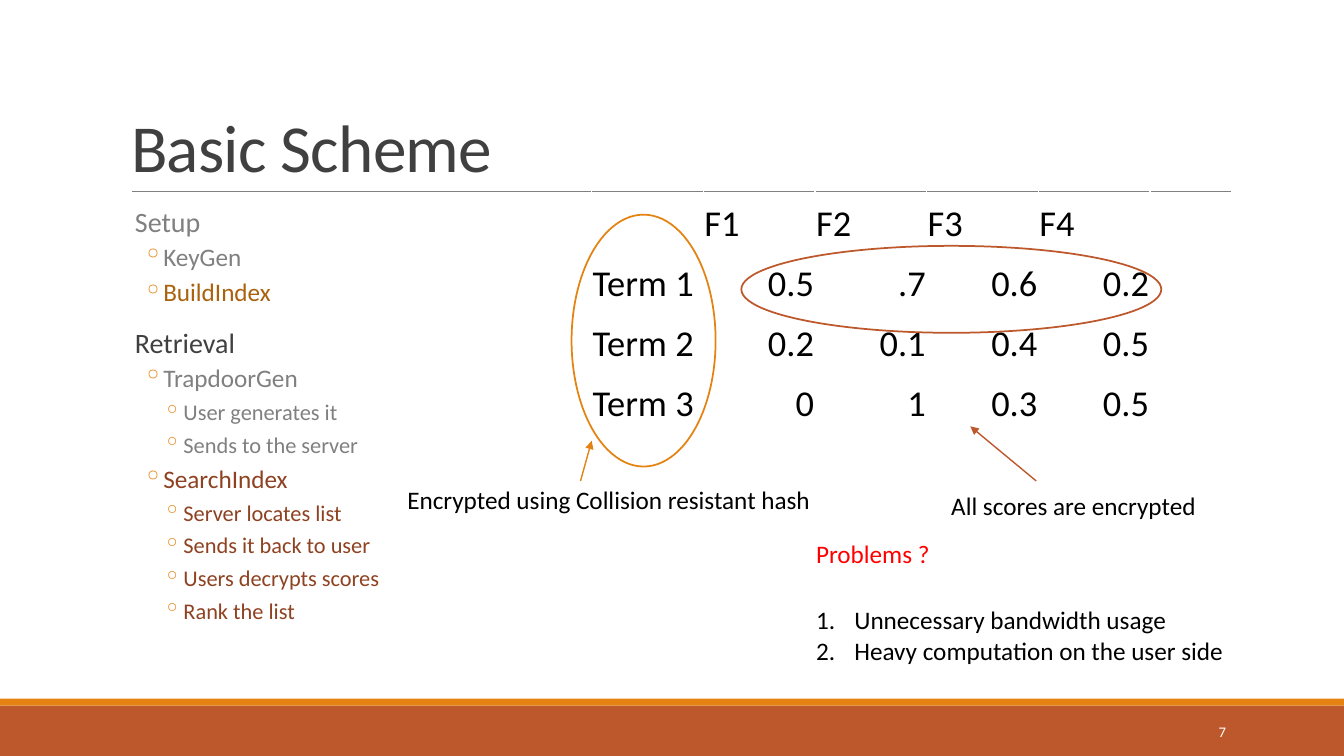
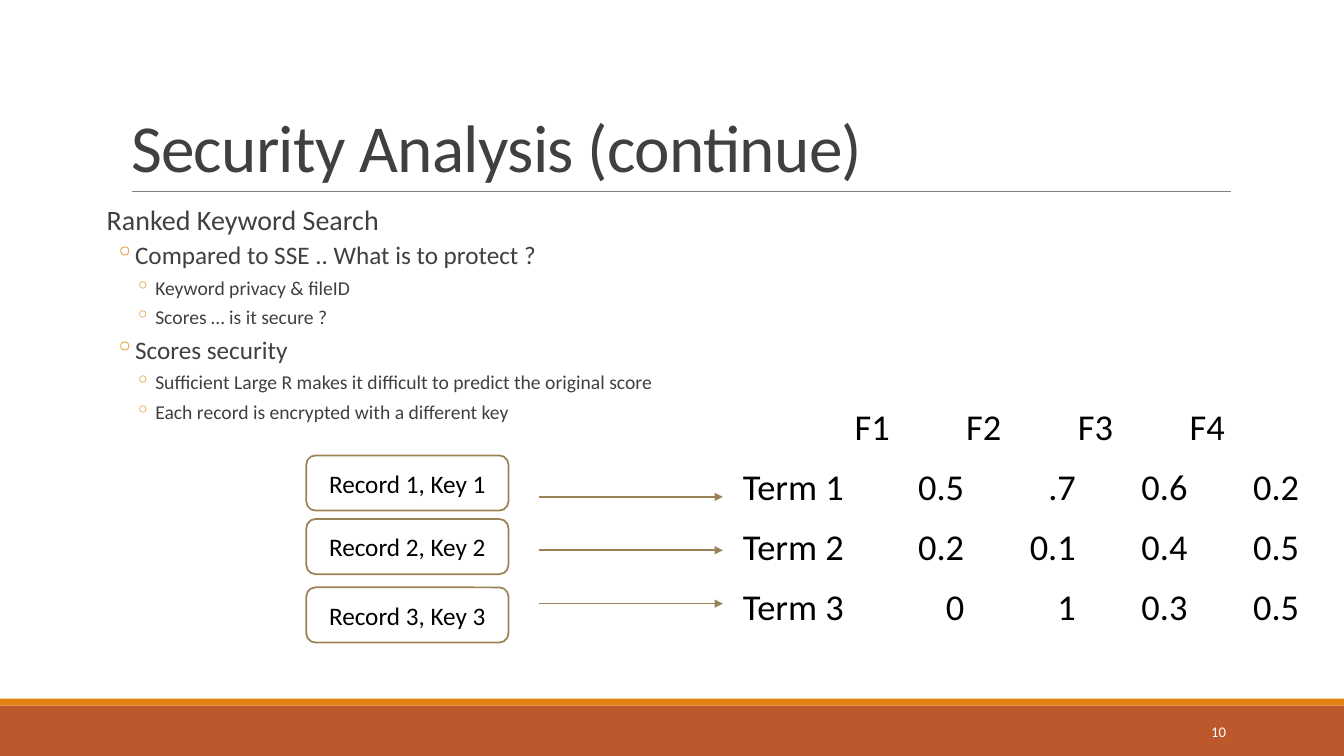
from collections import namedtuple
from lxml.etree import SubElement
from pptx import Presentation
from pptx.dml.color import RGBColor
from pptx.enum.shapes import MSO_CONNECTOR, MSO_SHAPE
from pptx.enum.text import MSO_ANCHOR, MSO_AUTO_SIZE, PP_ALIGN
from pptx.oxml.ns import qn
from pptx.util import Inches, Pt

W, H = 13.333, 7.5
FONT = "Calibri"
BLACK, WHITE, RED = "000000", "FFFFFF", "FF0000"
DARK, GREY = "404040", "808080"
ORANGE, RUST, TAN = "E48312", "BD582C", "9B8357"
DEEP_ORANGE, DEEP_RUST = "AB620D", "8E4221"

Level = namedtuple("Level", "margin hang before after bullet")
LEVELS = [Level(0.1, 0.1, 12, 2, " "), Level(0.42, 0.2, 2, 4, "◦"),
          Level(0.62, 0.2, 2, 4, "◦")]

SCORES = [["", "F1", "F2", "F3", "F4"],
          ["Term 1 ", "0.5", ".7", "0.6", "0.2"],
          ["Term 2", "0.2", "0.1", "0.4", "0.5"],
          ["Term 3", "0", "1", "0.3", "0.5"]]


class Grid:
    """Turns columns and rows, counted from an origin, into lengths."""

    def __init__(self, left, top, col, row):
        self.left, self.top, self.col, self.row = left, top, col, row

    def point(self, x, y):
        return Inches(self.left + x * self.col), Inches(self.top + y * self.row)

    def box(self, x, y, w, h):
        return *self.point(x, y), Inches(w * self.col), Inches(h * self.row)


# Percent of the slide
PAGE = Grid(0, 0, W / 100, H / 100)


def rgb(color):
    return RGBColor.from_string(color)


# Text
def add_run(p, text, size=18, color=BLACK, spacing=None):
    r = p.add_run()
    r.text = text
    r.font.size, r.font.name = Pt(size), FONT
    r.font.color.rgb = rgb(color)
    if spacing is not None:
        r._r.get_or_add_rPr().set("spc", str(spacing))


def set_bullet(p, margin, hang, char=None, color=None):
    pPr = p._p.get_or_add_pPr()
    pPr.set("marL", str(Inches(margin)))
    pPr.set("indent", str(-Inches(hang)))
    if color:
        SubElement(SubElement(pPr, qn("a:buClr")), qn("a:srgbClr"), val=color)
    if char:
        SubElement(pPr, qn("a:buChar"), char=char)
    else:
        SubElement(pPr, qn("a:buAutoNum"), type="arabicPeriod")


def add_text(s, box, *lines, align=None, anchor=MSO_ANCHOR.TOP, wrap=False,
             numbered=False, **font):
    tf = s.shapes.add_textbox(*box).text_frame
    tf.word_wrap, tf.vertical_anchor = wrap, anchor
    tf.auto_size = MSO_AUTO_SIZE.NONE if wrap else MSO_AUTO_SIZE.SHAPE_TO_FIT_TEXT
    for i, line in enumerate(lines):
        p = tf.add_paragraph() if i else tf.paragraphs[0]
        p.alignment = align
        add_run(p, line, **font)
        if numbered:
            set_bullet(p, 0.38, 0.38)


def add_outline(s, box, items, sizes):
    """Items are (level, text, colour); sizes gives one size per level."""
    tf = s.shapes.add_textbox(*box).text_frame
    tf.word_wrap = True
    tf.margin_left = tf.margin_right = 0
    for i, (depth, text, color) in enumerate(items):
        level = LEVELS[depth]
        p = tf.add_paragraph() if i else tf.paragraphs[0]
        p.level, p.line_spacing = depth, 0.9
        p.space_before, p.space_after = Pt(level.before), Pt(level.after)
        set_bullet(p, level.margin, level.hang, level.bullet, ORANGE)
        add_run(p, text, sizes[depth], color)


# Shapes and lines
def add_figure(s, kind, box, fill=None, line=None):
    sp = s.shapes.add_shape(kind, *box)
    sp.shadow.inherit = False
    if fill:
        sp.fill.solid()
        sp.fill.fore_color.rgb = rgb(fill)
    else:
        sp.fill.background()
    if line:
        sp.line.color.rgb, sp.line.width = rgb(line), Pt(1.25)
    else:
        sp.line.fill.background()
    return sp


def add_line(s, start, end, color, width=1, arrow=True):
    c = s.shapes.add_connector(MSO_CONNECTOR.STRAIGHT, *start, *end)
    c.line.color.rgb, c.line.width = rgb(color), Pt(width)
    spPr = c.element.spPr
    if arrow:
        SubElement(spPr.find(qn("a:ln")), qn("a:tailEnd"), type="triangle")
    SubElement(spPr, qn("a:effectLst"))


# Title, bands and page number
def add_page(prs, title, number):
    s = prs.slides.add_slide(prs.slide_layouts[5])
    add_figure(s, MSO_SHAPE.RECTANGLE, PAGE.box(0, 93.33, 100, 6.67), RUST)
    add_figure(s, MSO_SHAPE.RECTANGLE, PAGE.box(0, 92.4, 100, 0.93), ORANGE)
    add_line(s, PAGE.point(9.83, 25.33), PAGE.point(91.6, 25.33), GREY, 0.5, False)
    sp = s.shapes.title
    sp.left, sp.top, sp.width, sp.height = PAGE.box(9, 4.13, 82.5, 21.2)
    tf = sp.text_frame
    tf.word_wrap, tf.vertical_anchor = True, MSO_ANCHOR.BOTTOM
    tf.auto_size = MSO_AUTO_SIZE.NONE
    p = tf.paragraphs[0]
    p.alignment, p.line_spacing = PP_ALIGN.LEFT, 0.85
    add_run(p, title, 48, DARK, -50)
    add_text(s, PAGE.box(81.23, 94.13, 10.73, 5.33), str(number), size=10.5,
             color=WHITE, align=PP_ALIGN.RIGHT, anchor=MSO_ANCHOR.MIDDLE, wrap=True)
    return s


# Score table; the grid's cells are the table's cells
def add_scores(s, grid):
    rows, cols = len(SCORES), len(SCORES[0])
    table = s.shapes.add_table(rows, cols, *grid.box(0, 0, cols, rows)).table
    table.first_row = table.horz_banding = False
    for i, row in enumerate(SCORES):
        for j, text in enumerate(row):
            cell = table.cell(i, j)
            cell.fill.background()
            cell.vertical_anchor = MSO_ANCHOR.BOTTOM
            cell.margin_left = cell.margin_right = cell.margin_top = Inches(0.01)
            cell.margin_bottom = 0
            p = cell.text_frame.paragraphs[0]
            p.alignment = PP_ALIGN.RIGHT if i and j else PP_ALIGN.LEFT
            if text:
                add_run(p, text, 26)


def score_grid(left, top):
    return Grid(left, top, 1.108, 0.595)


# Ellipses and remarks around the score table
def add_remarks(s, grid):
    add_figure(s, MSO_SHAPE.OVAL, grid.box(-0.18, 0.47, 1.29, 4.2), line=ORANGE)
    add_line(s, grid.point(-0.1, 4.91), grid.point(0, 4.24), ORANGE)
    add_text(s, grid.box(-1.74, 4.89, 3.83, 0.67),
             "Encrypted using Collision resistant hash")
    add_figure(s, MSO_SHAPE.OVAL, grid.box(1.34, 0.99, 3.76, 1.45), line=RUST)
    add_line(s, grid.point(3.98, 4.91), grid.point(3.39, 4), RUST)
    add_text(s, grid.box(3.13, 4.99, 2.4, 0.67), "All scores are encrypted")
    add_text(s, grid.box(1.92, 5.78, 1.21, 0.67), "Problems ?", color=RED)
    add_text(s, grid.box(1.92, 6.89, 3.87, 1.19), "Unnecessary bandwidth usage",
             "Heavy computation on the user side", numbered=True)


# Record boxes with arrows to the score table
def add_records(s, grid):
    for i, top in enumerate([1.09, 2.15, 3.29]):
        sp = add_figure(s, MSO_SHAPE.ROUNDED_RECTANGLE,
                        grid.box(-3.9, top, 1.81, 0.92), WHITE, TAN)
        tf = sp.text_frame
        tf.vertical_anchor = MSO_ANCHOR.MIDDLE
        p = tf.paragraphs[0]
        p.alignment = PP_ALIGN.CENTER
        add_run(p, f"Record {i + 1}, Key {i + 1}")
        y = 1.78 + 0.89 * i
        add_line(s, grid.point(-1.82, y), grid.point(-0.17, y), TAN)


def basic_scheme(prs):
    s = add_page(prs, "Basic Scheme", 7)
    add_outline(s, PAGE.box(9, 26.93, 82.5, 58.67), [
        (0, "Setup", GREY),
        (1, "KeyGen", GREY),
        (1, "BuildIndex", DEEP_ORANGE),
        (0, "Retrieval ", DARK),
        (1, "TrapdoorGen", GREY),
        (2, "User generates it", GREY),
        (2, "Sends to the server", GREY),
        (1, "SearchIndex", DEEP_RUST),
        (2, "Server locates list", DEEP_RUST),
        (2, "Sends it back to user", DEEP_RUST),
        (2, "Users decrypts scores", DEEP_RUST),
        (2, "Rank the list", DEEP_RUST)], (20, 18, 16))
    grid = score_grid(5.87, 1.85)
    add_scores(s, grid)
    add_remarks(s, grid)


def security_analysis(prs):
    s = add_page(prs, "Security Analysis (continue)", 10)
    add_outline(s, PAGE.box(6.9, 26.67, 86.25, 43.2), [
        (0, "Ranked Keyword Search", DARK),
        (1, "Compared to SSE .. What is to protect ?", DARK),
        (2, "Keyword privacy & fileID", DARK),
        (2, "Scores … is it secure ?", DARK),
        (1, "Scores security", DARK),
        (2, "Sufficient Large R makes it difficult to predict the original score", DARK),
        (2, "Each record is encrypted with a different key", DARK)], (20, 18, 14))
    grid = score_grid(7.36, 3.87)
    add_scores(s, grid)
    add_records(s, grid)


prs = Presentation()
prs.slide_width, prs.slide_height = Inches(W), Inches(H)
basic_scheme(prs)
security_analysis(prs)
prs.save("out.pptx")
